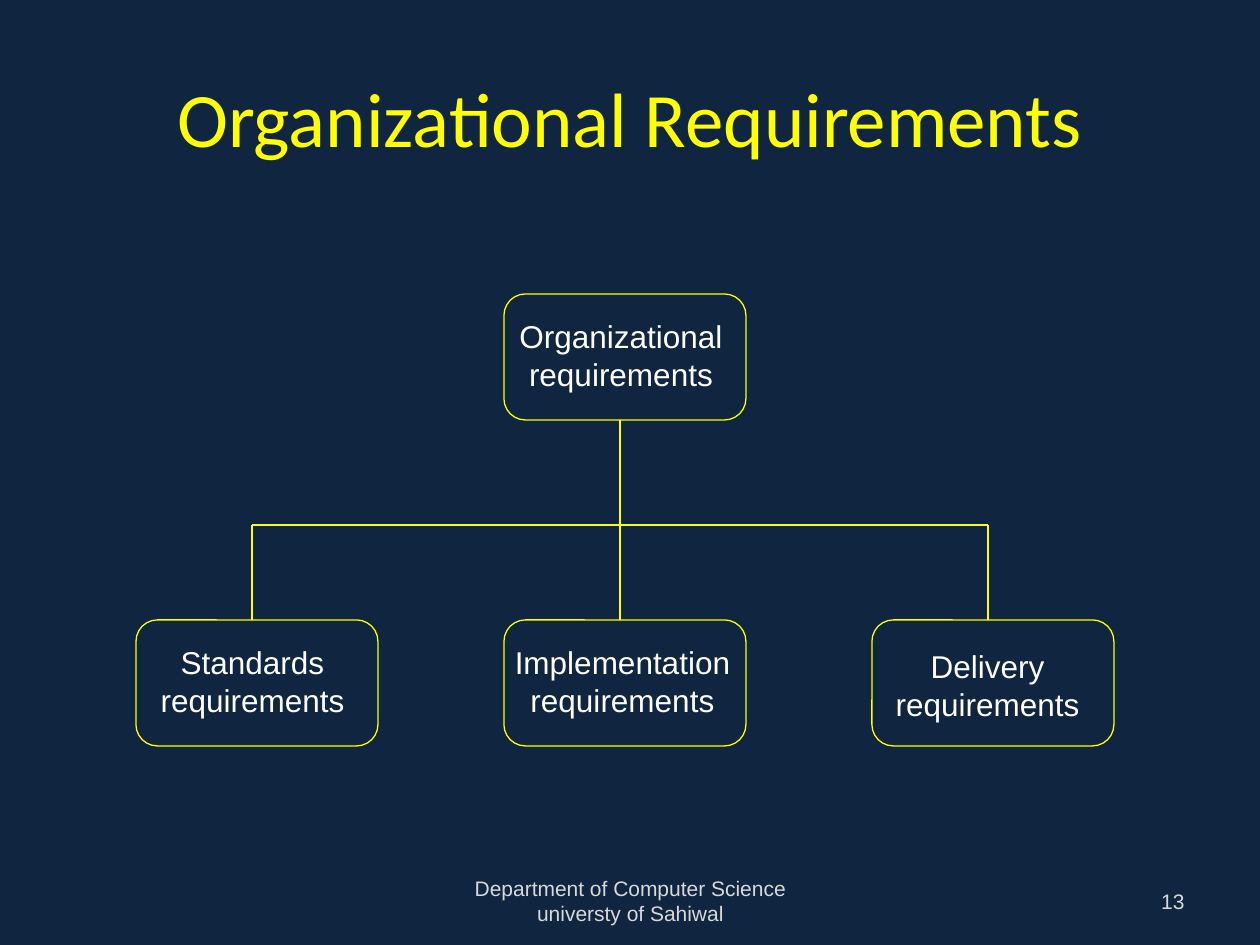
from dataclasses import dataclass

from lxml.etree import SubElement
from pptx import Presentation
from pptx.dml.color import RGBColor
from pptx.enum.shapes import MSO_CONNECTOR, MSO_SHAPE
from pptx.enum.text import MSO_ANCHOR, MSO_AUTO_SIZE, PP_ALIGN
from pptx.oxml.ns import qn
from pptx.util import Pt

PX = 914400 // 126  # EMU in one px


@dataclass(frozen=True)
class Theme:
    back: str = "10253F"
    accent: str = "FFFF00"
    text: str = "FFFFFF"
    muted: str = "D9D9D9"
    title_font: str = "Calibri"
    body_font: str = "Arial"
    title_size: int = 44
    label_size: int = 18
    footer_size: int = 12
    line_width: float = 0.75


THEME = Theme()


def rgb(value):
    return RGBColor.from_string(value)


def emu(*lengths):
    return [n * PX for n in lengths]


def add_text(s, box, lines, size, color, font=THEME.body_font,
             align=PP_ALIGN.CENTER, anchor=MSO_ANCHOR.MIDDLE, wrap=True):
    tf = s.shapes.add_textbox(*emu(*box)).text_frame
    tf.word_wrap = wrap
    tf.auto_size = MSO_AUTO_SIZE.NONE if wrap else MSO_AUTO_SIZE.SHAPE_TO_FIT_TEXT
    tf.vertical_anchor = anchor
    for i, line in enumerate(lines):
        p = tf.add_paragraph() if i else tf.paragraphs[0]
        p.alignment = align
        r = p.add_run()
        r.text = line
        r.font.name, r.font.size = font, Pt(size)
        r.font.color.rgb = rgb(color)


def style_line(line):
    line.color.rgb = rgb(THEME.accent)
    line.width = Pt(THEME.line_width)


def add_line(s, x1, y1, x2, y2):
    c = s.shapes.add_connector(MSO_CONNECTOR.STRAIGHT, *emu(x1, y1, x2, y2))
    style_line(c.line)
    SubElement(c._element.spPr, qn("a:effectLst"))


def add_node(s, box, lines, label):
    """Rounded box; label gives the text's left, top and width inside it."""
    left, top, width, height = box
    sp = s.shapes.add_shape(MSO_SHAPE.ROUNDED_RECTANGLE, *emu(*box))
    sp.shadow.inherit = False
    sp.adjustments[0] = 0.17
    sp.fill.background()
    style_line(sp.line)
    dx, dy, label_width = label
    add_text(s, (left + dx, top + dy, label_width, 88), lines,
             THEME.label_size, THEME.text, anchor=MSO_ANCHOR.TOP, wrap=False)


def add_tree(s, box):
    left, top, width, height = box
    node_w, node_h, stem = 242, 126, 116
    pitch = (width - node_w) // 2
    child_top = top + height - node_h
    bar_y = top + 231
    xs = [left + i * pitch for i in range(3)]

    # Root and its children
    add_node(s, (xs[1], top, node_w, node_h),
             ["Organizational", "requirements"], (3, 17, 228))
    children = [("Standards", (12, 17, 209)),
                ("Implementation", (-2, 17, 241)),
                ("Delivery", (11, 21, 209))]
    for x, (name, label) in zip(xs, children):
        add_node(s, (x, child_top, node_w, node_h), [name, "requirements"], label)

    # Branches: the middle one runs on up to the root
    stems = [x + stem for x in xs]
    for x, y in zip(stems, (bar_y, top + node_h, bar_y)):
        add_line(s, x, y, x, child_top)
    add_line(s, stems[0], bar_y, stems[-1], bar_y)


def add_title(s, box):
    add_text(s, box, ["Organizational Requirements"], THEME.title_size,
             THEME.accent, font=THEME.title_font)


def add_footer(s, box):
    left, top, width, height = box
    add_text(s, (left + 368, top, 399, height),
             ["Department of Computer Science universty of Sahiwal"],
             THEME.footer_size, THEME.muted)
    add_text(s, (left + width - 294, top, 294, height), ["13"],
             THEME.footer_size, THEME.muted, align=PP_ALIGN.RIGHT)


def main():
    prs = Presentation()
    prs.slide_width, prs.slide_height = emu(1260, 945)
    s = prs.slides.add_slide(prs.slide_layouts[6])
    s.background.fill.solid()
    s.background.fill.fore_color.rgb = rgb(THEME.back)
    add_title(s, (63, 38, 1134, 158))
    add_tree(s, (136, 294, 978, 452))
    add_footer(s, (63, 876, 1134, 50))
    prs.save("out.pptx")


if __name__ == "__main__":
    main()
